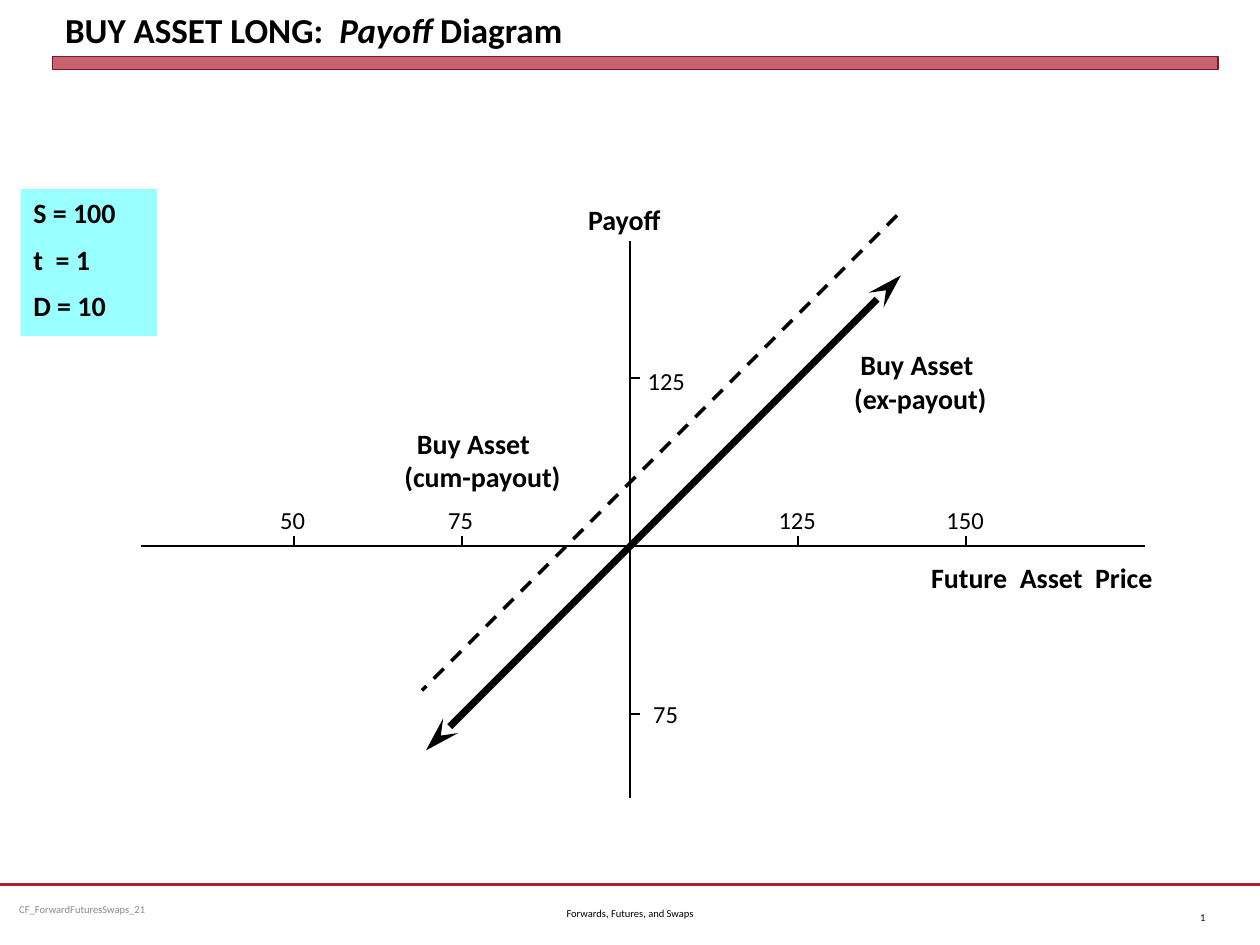
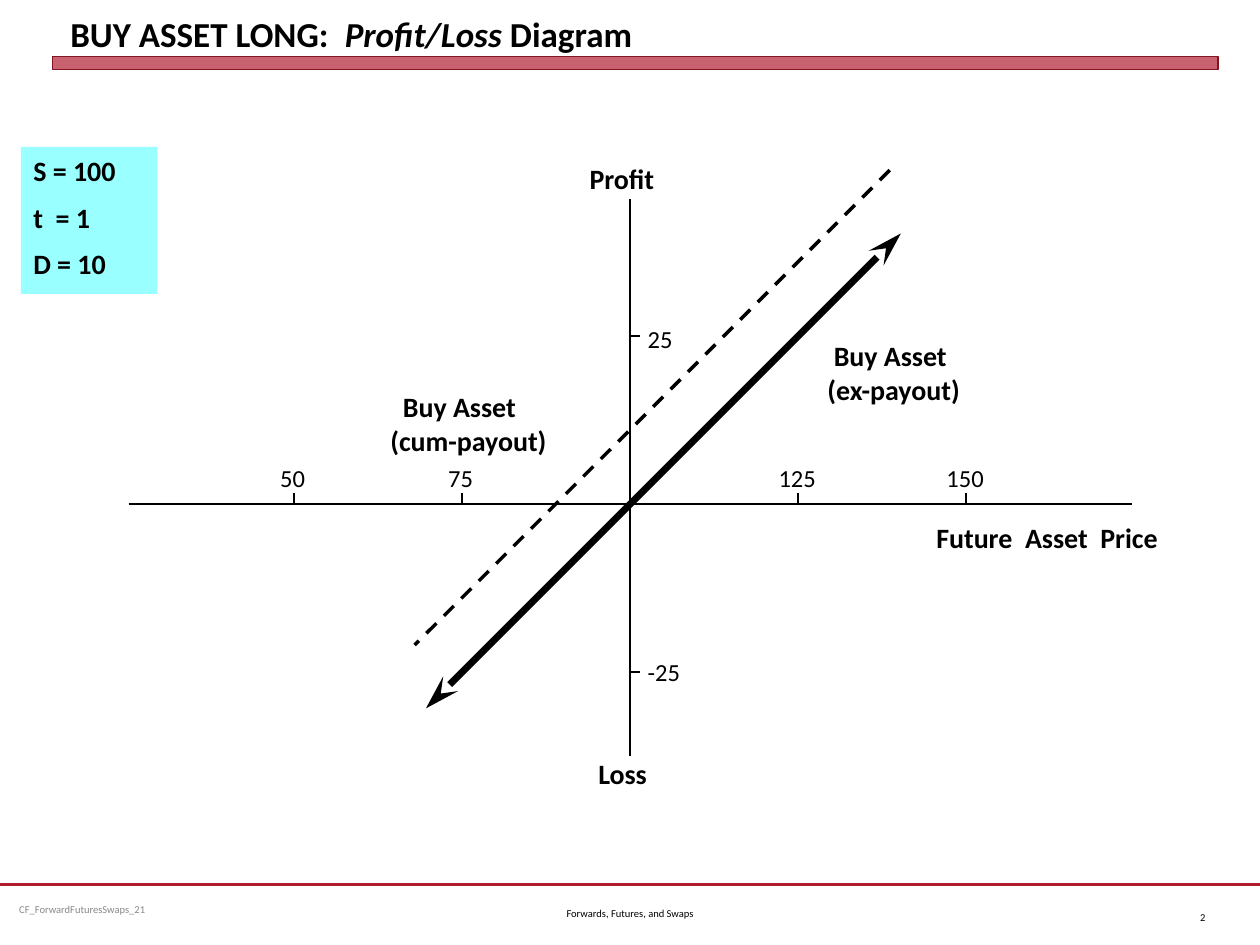
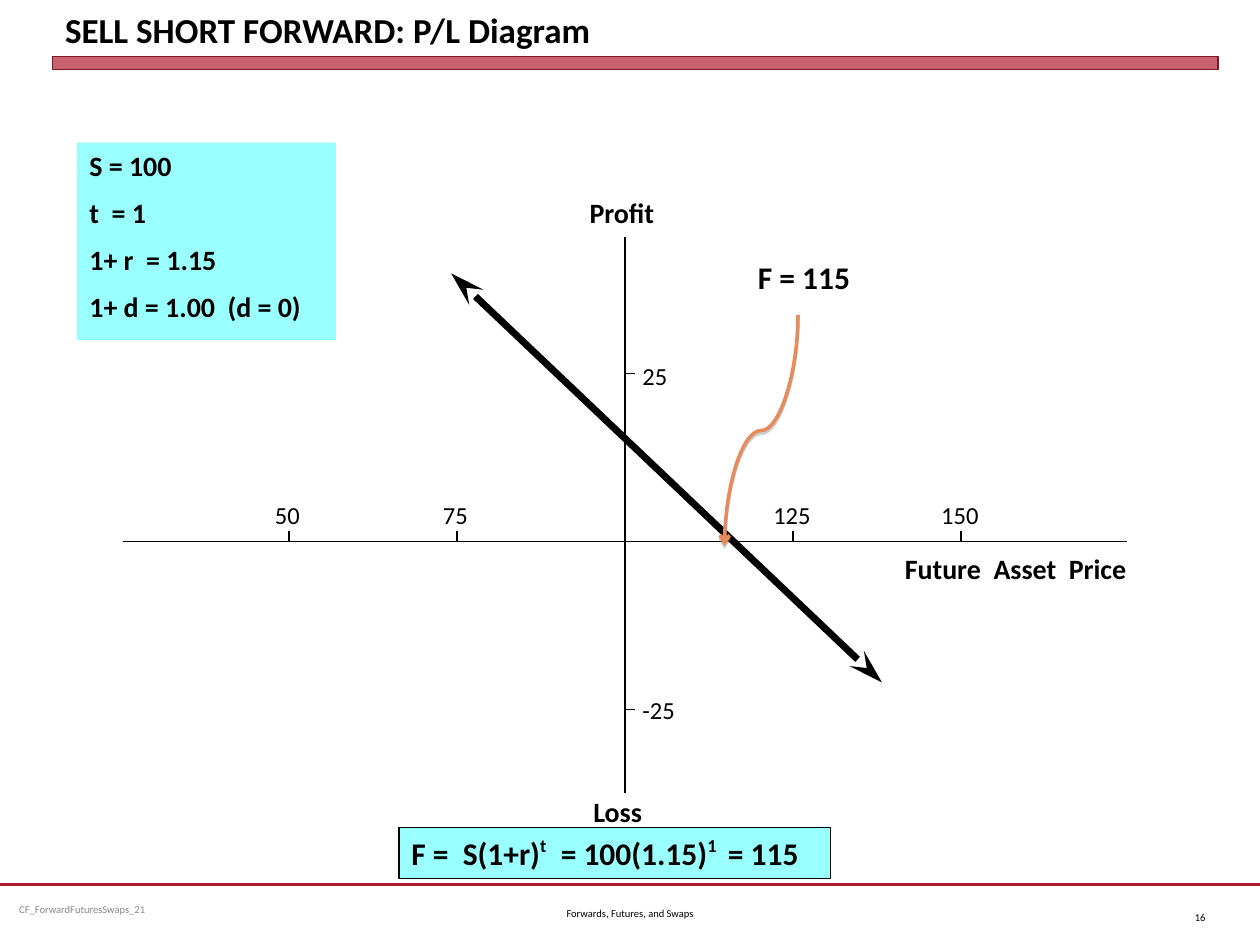
import pptx
import pptx.util
import pptx.dml.color
import pptx.enum.dml
import pptx.enum.shapes
import pptx.enum.text
import pptx.oxml
import pptx.oxml.ns

Pt = pptx.util.Pt
RGBColor = pptx.dml.color.RGBColor
Align = pptx.enum.text.PP_ALIGN
Anchor = pptx.enum.text.MSO_ANCHOR
Connector = pptx.enum.shapes.MSO_CONNECTOR
qn = pptx.oxml.ns.qn

BLACK = RGBColor(0x00, 0x00, 0x00)
GRAY = RGBColor(0x89, 0x89, 0x89)
CRIMSON = RGBColor(0xB0, 0x1C, 0x2E)
DARK_RED = RGBColor(0x82, 0x15, 0x22)
CYAN = RGBColor(0x99, 0xFF, 0xFF)
ORANGE = RGBColor(0xE7, 0x8A, 0x5C)

NAMESPACE = 'xmlns:a="http://schemas.openxmlformats.org/drawingml/2006/main"'
NO_EFFECT = f"<a:effectLst {NAMESPACE}/>"
SOFT_SHADOW = (f'<a:effectLst {NAMESPACE}><a:outerShdw blurRad="0" dist="20000" dir="5400000" '
               'rotWithShape="0"><a:srgbClr val="808080"><a:alpha val="38000"/></a:srgbClr>'
               "</a:outerShdw></a:effectLst>")
TICK_STEP = 96
TICK_LENGTH = 6
AXIS_WIDTH = 573.3
AXIS_ABOVE, AXIS_BELOW = 174, 144


class Deck:
    font_name = "Calibri"
    margins = (7.2, 3.6)

    def __init__(self):
        self.presentation = pptx.Presentation()
        self.presentation.slide_width = Pt(720)
        self.presentation.slide_height = Pt(540)
        self.slide = None

    def new_slide(self, title, number, left=30, top=3.6):
        self.slide = self.presentation.slides.add_slide(self.presentation.slide_layouts[5])
        self.line((0, 505.5), (720, 505.5), CRIMSON, 1.25)
        self.text((6, 505.5, 186, 28.8), ["CF_ForwardFuturesSwaps_21"], 6, False, GRAY,
                  anchor=Anchor.MIDDLE, margins=(5, 3))
        band = self.rectangle((30, 32.4, 666, 7.2), CRIMSON, DARK_RED, 0)
        color = band._element.spPr.find(qn("a:solidFill"))[0]
        color.append(pptx.oxml.parse_xml(f'<a:alpha {NAMESPACE} val="69000"/>'))
        shape = self.slide.shapes.title
        shape.left, shape.top, shape.width, shape.height = map(Pt, (left, top, 666, 28.8))
        self.fill_text(shape, [title], 20, anchor=Anchor.BOTTOM)
        self.text((660, 509.8, 36, 28.8), [number], 6, False, anchor=Anchor.MIDDLE, align=Align.RIGHT)
        self.text((246, 507.6, 228, 28.8), ["Forwards, Futures, and Swaps"], 6, False,
                  anchor=Anchor.MIDDLE, align=Align.CENTER)

    def fill_text(self, shape, paragraphs, size=16, bold=True, color=BLACK, align=Align.LEFT,
                  anchor=Anchor.TOP, margins=margins, gap=0, indents=(), wrap=True):
        frame = shape.text_frame
        frame.word_wrap = wrap
        frame.auto_size = pptx.enum.text.MSO_AUTO_SIZE.NONE
        frame.vertical_anchor = anchor
        frame.margin_left = frame.margin_right = Pt(margins[0])
        frame.margin_top = frame.margin_bottom = Pt(margins[1])
        for index, content in enumerate(paragraphs):
            paragraph = frame.add_paragraph() if index else frame.paragraphs[0]
            paragraph.alignment = align
            if indents:
                paragraph._p.get_or_add_pPr().set("marL", str(Pt(indents[index])))
            paragraph.space_before = Pt(gap if index else 0)
            font = paragraph.font
            font.name, font.size, font.bold = self.font_name, Pt(size), bold
            font.color.rgb = color
            runs = [(content, "")] if isinstance(content, str) else content
            for text, style in runs:
                run = paragraph.add_run()
                run.text = text
                if style == "italic":
                    run.font.italic = True
                elif style == "superscript":
                    run.font._element.set("baseline", "40000")

    def text(self, box, paragraphs, *arguments, **options):
        shape = self.slide.shapes.add_textbox(*map(Pt, box))
        self.fill_text(shape, paragraphs, *arguments, **options)

    def rectangle(self, box, fill, line=None, line_width=0.75):
        shape = self.slide.shapes.add_shape(pptx.enum.shapes.MSO_SHAPE.RECTANGLE, *map(Pt, box))
        shape.shadow.inherit = False
        shape.fill.solid()
        shape.fill.fore_color.rgb = fill
        if line is None:
            shape.line.fill.background()
        else:
            shape.line.color.rgb = line
            shape.line.width = Pt(line_width)
        return shape

    def panel(self, box, paragraphs, size=16, line=None):
        self.fill_text(self.rectangle(box, CYAN, line), paragraphs, size, gap=7.6)

    def line(self, start, end, color=BLACK, width=1, dashed=False, heads=(),
             kind=Connector.STRAIGHT, rotation=0, effect=NO_EFFECT):
        connector = self.slide.shapes.add_connector(kind, *map(Pt, start + end))
        connector.line.color.rgb = color
        connector.line.width = Pt(width)
        if dashed:
            connector.line.dash_style = pptx.enum.dml.MSO_LINE.DASH
        properties = connector._element.spPr
        for tag, head, length in heads:
            properties.find(qn("a:ln")).append(pptx.oxml.parse_xml(
                f'<a:{tag} {NAMESPACE} type="{head}" w="med" len="{length}"/>'))
        if rotation:
            properties.find(qn("a:xfrm")).set("rot", str(rotation * 60000))
        properties.append(pptx.oxml.parse_xml(effect))

    def payoff_line(self, start, end):
        self.line(start, end, width=4,
                  heads=(("headEnd", "stealth", "lg"), ("tailEnd", "stealth", "lg")))

    def axes(self, origin, axis_left, upper, lower):
        x, y = origin
        for step, label in ((-2, "50"), (-1, "75"), (1, "125"), (2, "150")):
            tick = x + step * TICK_STEP
            self.line((tick, y), (tick, y - TICK_LENGTH))
            self.tick_label((tick - 18.2, y - 27), label, 3.2 if len(label) == 2 else 0)
        for step, rise, (label, indent) in ((-1, 10.6, upper), (1, 12, lower)):
            tick = y + step * TICK_STEP
            self.line((x, tick), (x + TICK_LENGTH, tick))
            self.tick_label((x + 3, tick - rise), label, indent)
        self.line((axis_left, y), (axis_left + AXIS_WIDTH, y))
        self.line((x, y + AXIS_BELOW), (x, y - AXIS_ABOVE))

    def tick_label(self, corner, label, indent):
        self.text(corner + (56, 24.5), [label], 14, False, indents=(indent,))

    def axis_title(self, left, top, label, width=64):
        self.text((left, top, width, 26.6), [label])

    def asset_label(self, left, top, width, payout, indents):
        self.text((left, top, width, 46), ["Buy Asset", f"({payout}-payout)"],
                  indents=indents, wrap=False)


def buy_asset_chart(deck, origin, axis_left, upper, lower, dashed_start):
    x, y = origin
    deck.panel((12, y - 204, 78, 84), ["S = 100", "t  = 1", "D = 10"])
    deck.axes(origin, axis_left, upper, lower)
    deck.payoff_line((x + 154.8, y - 154.6), (x - 116.6, y + 116.8))
    left, top = dashed_start
    deck.line(dashed_start, (left - 271.4, top + 271.4), width=2, dashed=True)


def main():
    deck = Deck()

    deck.new_slide([("BUY ASSET LONG: ", ""), (" Payoff ", "italic"), ("Diagram", "")], "1")
    buy_asset_chart(deck, (360, 312), 80.8, ("125", 0), ("75", 3.2), (512.6, 123.1))
    deck.axis_title(525, 316.8, "Future  Asset  Price", 186)
    deck.axis_title(329, 112.3, "Payoff")
    deck.asset_label(477.4, 195, 95.8, "ex", (7.2, 3.6))
    deck.asset_label(224, 240, 105, "cum", (7.2, 0))

    deck.new_slide([("BUY ASSET LONG:  ", ""), ("Profit/Loss", "italic"), (" Diagram", "")], "2", 33, 6)
    buy_asset_chart(deck, (360, 288), 73.5, ("25", 0), ("-25", 0), (508.4, 97.2))
    deck.axis_title(528, 293.8, "Future  Asset  Price", 186)
    deck.axis_title(329.8, 88.5, "Profit")
    deck.axis_title(334.8, 429, "Loss")
    deck.asset_label(462.2, 190, 95.8, "ex", (7.2, 3.6))
    deck.asset_label(205.2, 219, 116, "cum", (18, 10.8))

    deck.new_slide("SELL SHORT FORWARD: P/L Diagram", "16")
    deck.axes((357, 309.4), 70.5, ("25", 0), ("-25", 0))
    deck.axis_title(510, 311.8, "Future  Asset  Price", 186)
    deck.axis_title(329.8, 108, "Profit")
    deck.axis_title(332, 450.7, "Loss")
    deck.payoff_line((504, 390), (257.8, 156.2))
    deck.panel((44, 81.5, 148, 113), ["S = 100", "t  = 1", "1+ r  = 1.15", "1+ d = 1.00  (d = 0)"])
    deck.line((369, 225), (501, 267), ORANGE, 2, heads=(("tailEnd", "arrow", "med"),),
              kind=Connector.CURVE, rotation=90, effect=SOFT_SHADOW)
    deck.text((426, 144, 67.7, 29), ["F = 115"], 18, wrap=False)
    formula = [("F =  S(1+r)", ""), ("t", "superscript"), ("  = 100(1.15)", ""),
               ("1 ", "superscript"), (" = 115", "")]
    deck.panel((228, 473, 246.5, 29), [formula], 18, BLACK)

    deck.presentation.save("out.pptx")


if __name__ == "__main__":
    main()
